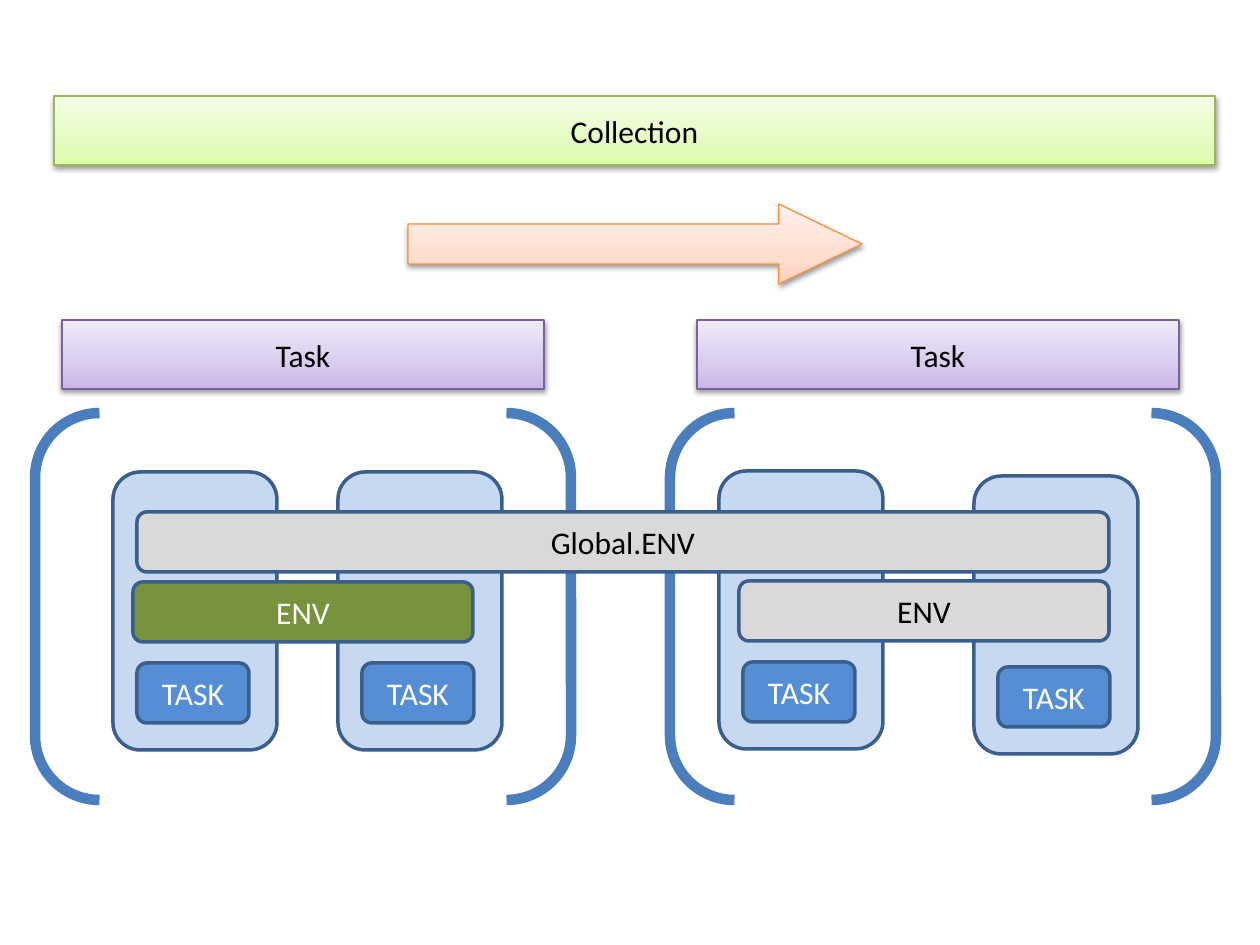
from copy import deepcopy

from lxml.etree import SubElement
from pptx import Presentation
from pptx.dml.color import RGBColor
from pptx.enum.shapes import MSO_SHAPE
from pptx.enum.text import MSO_ANCHOR, PP_ALIGN
from pptx.oxml.ns import qn
from pptx.util import Emu, Pt

PX = 914400 / 126
OUTLINE = "3A5F8C"
BLACK, WHITE, GREY = "000000", "FFFFFF", "D9D9D9"
GREEN_FADE = ("DAFDA7", "E4FCC2", "F5FFE7")
PURPLE_FADE = ("C9B5E8", "D8CBEE", "F0EAF9")
ORANGE_FADE = ("FFD2BD", "FFDED0", "FFF2ED")

deck = Presentation()
deck.slide_width, deck.slide_height = Emu(round(1260 * PX)), Emu(round(945 * PX))
page = deck.slides.add_slide(deck.slide_layouts[6])


def add_box(kind, at, fill, line, width, text="", color=WHITE):
    """Add a shape at px (left, top, width, height); fill is a hex string or None."""
    box = page.shapes.add_shape(kind, *[Emu(round(length * PX)) for length in at])
    box.shadow.inherit = False
    if fill:
        box.fill.solid()
        box.fill.fore_color.rgb = RGBColor.from_string(fill)
    else:
        box.fill.background()
    box.line.color.rgb = RGBColor.from_string(line)
    box.line.width = Pt(width)
    if text:
        frame = box.text_frame
        frame.text = text
        frame.word_wrap = True
        frame.vertical_anchor = MSO_ANCHOR.MIDDLE
        para = frame.paragraphs[0]
        para.alignment = PP_ALIGN.CENTER
        font = para.runs[0].font
        font.name, font.size = "Calibri", Pt(18)
        font.color.rgb = RGBColor.from_string(color)
    return box


def add_raised_box(kind, at, fade, line, text=""):
    """Add a shape with a three-stop fade from bottom to top and a drop shadow."""
    box = add_box(kind, at, None, line, 0.75, text, BLACK)
    box.fill.gradient()
    box.fill.gradient_angle = 90
    properties = box._element.spPr
    stop_list = properties.find(".//" + qn("a:gsLst"))
    stop_list.insert(1, deepcopy(stop_list[0]))
    for stop, color, position in zip(box.fill.gradient_stops, fade, (0, 0.35, 1)):
        stop.color.rgb = RGBColor.from_string(color)
        stop.position = position
    shadow = SubElement(properties.find(qn("a:effectLst")), qn("a:outerShdw"),
                        blurRad="40000", dist="20000", dir="5400000", rotWithShape="0")
    shade = SubElement(shadow, qn("a:srgbClr"), val=BLACK)
    SubElement(shade, qn("a:alpha"), val="38000")
    return box


# Brackets around each group of columns
for left, width in ((35, 536), (670, 546)):
    add_box(MSO_SHAPE.DOUBLE_BRACKET, (left, 413, width, 387), None, "4B7EBC", 6)

# Columns, each with a task at its foot
for left, top in ((113, 472), (338, 472), (719, 471), (974, 476)):
    add_box(MSO_SHAPE.ROUNDED_RECTANGLE, (left, top, 164, 278), "C6D9F1", OUTLINE, 2)
    add_box(MSO_SHAPE.ROUNDED_RECTANGLE, (left + 24, top + 191, 112, 60),
            "558ED5", OUTLINE, 2, "TASK")

# Headings
add_raised_box(MSO_SHAPE.RECTANGLE, (54, 96, 1161, 69), GREEN_FADE, "98B955", "Collection")
for left in (62, 697):
    add_raised_box(MSO_SHAPE.RECTANGLE, (left, 320, 482, 69), PURPLE_FADE, "7D60A0", "Task")
arrow = add_raised_box(MSO_SHAPE.RIGHT_ARROW, (408, 204, 454, 80), ORANGE_FADE, "F69240")
arrow.adjustments[1] = 1.04

# Environments spanning the columns
for left, top, width, fill, text, color in (
    (137, 512, 972, GREY, "Global.ENV", BLACK),
    (133, 582, 340, "77933C", "ENV", WHITE),
    (739, 581, 370, GREY, "ENV", BLACK),
):
    add_box(MSO_SHAPE.ROUNDED_RECTANGLE, (left, top, width, 60), fill, OUTLINE, 2, text, color)

deck.save("out.pptx")
